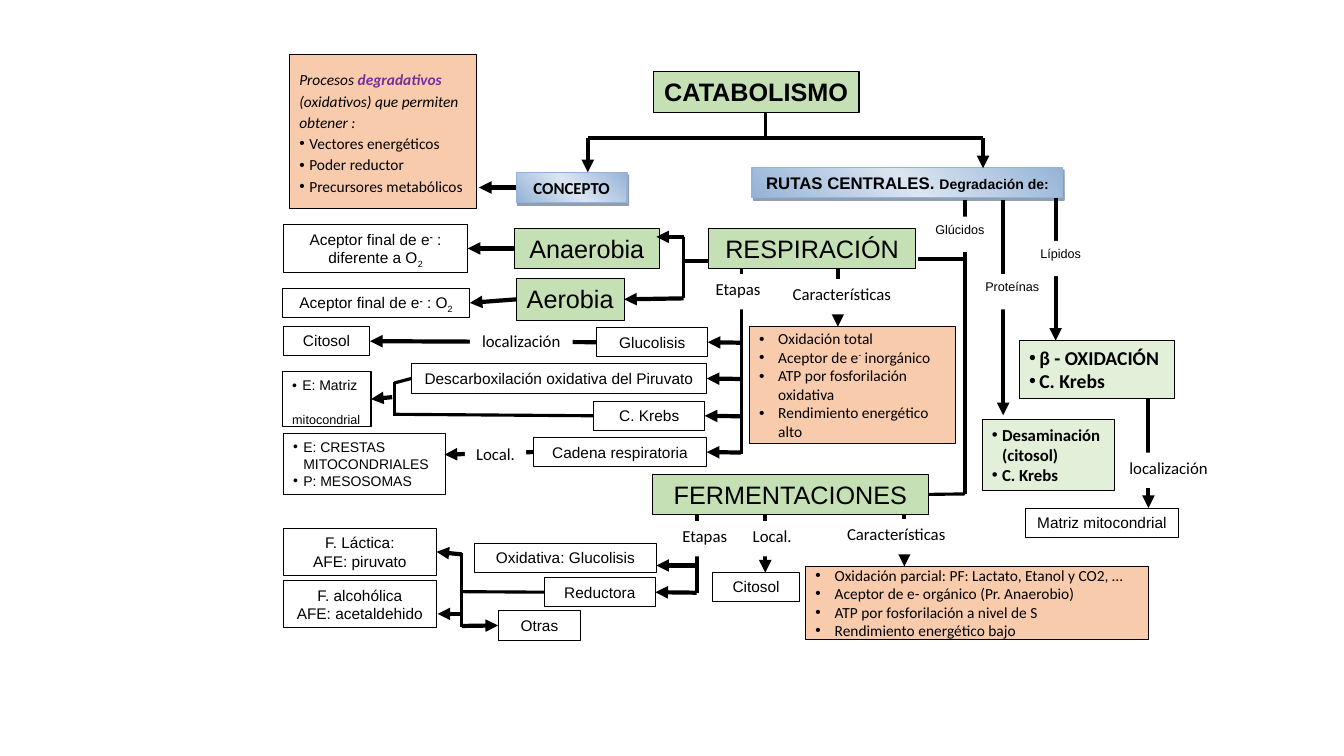
from copy import deepcopy

from lxml import etree
from pptx import Presentation
from pptx.dml.color import RGBColor
from pptx.enum.shapes import MSO_CONNECTOR, MSO_SHAPE
from pptx.enum.text import MSO_ANCHOR, PP_ALIGN
from pptx.oxml.ns import qn
from pptx.util import Inches, Pt

STRAIGHT = MSO_CONNECTOR.STRAIGHT
RECTANGLE = MSO_SHAPE.RECTANGLE
TOP, MIDDLE = MSO_ANCHOR.TOP, MSO_ANCHOR.MIDDLE
LEFT, CENTER = PP_ALIGN.LEFT, PP_ALIGN.CENTER
LEFT_SIDE, RIGHT_SIDE = 1, 3

BLACK = RGBColor(0x00, 0x00, 0x00)
WHITE = RGBColor(0xFF, 0xFF, 0xFF)
GREEN = RGBColor(0xC5, 0xE0, 0xB4)
PALE_GREEN = RGBColor(0xE2, 0xF0, 0xD9)
PEACH = RGBColor(0xF8, 0xCB, 0xAD)
PURPLE = RGBColor(0x70, 0x30, 0xA0)
BLUE = RGBColor(0x95, 0xB3, 0xD7)
PALE_BLUE = RGBColor(0xDB, 0xE5, 0xF1)
NAVY = RGBColor(0x24, 0x3F, 0x60)

THICK, THIN = 3, 2.25
SUPERSCRIPT, SUBSCRIPT = 30000, -25000


def add_run(paragraph, text, baseline=None, **font):
    run = paragraph.add_run()
    run.text = text
    for name, value in font.items():
        setattr(run.font, name, value)
    if baseline:
        run._r.get_or_add_rPr().set("baseline", str(baseline))


def add_bullet(paragraph, indent):
    properties = paragraph._p.get_or_add_pPr()
    properties.set("marL", str(Inches(indent)))
    properties.set("indent", str(-Inches(indent)))
    etree.SubElement(properties, qn("a:buFont")).set("typeface", "Arial")
    etree.SubElement(properties, qn("a:buChar")).set("char", "•")


def write(shape, paragraphs, size=11, font="Arial", bold=False, anchor=TOP, indent=0, plain=()):
    frame = shape.text_frame
    frame.word_wrap = True
    frame.vertical_anchor = anchor
    frame.margin_left = frame.margin_right = Inches(0.1 if indent else 0.05)
    frame.margin_top = frame.margin_bottom = Inches(0.05)
    for index, parts in enumerate(paragraphs):
        paragraph = frame.paragraphs[0] if index == 0 else frame.add_paragraph()
        paragraph.alignment = LEFT if indent else CENTER
        if indent and index not in plain:
            add_bullet(paragraph, indent)
        paragraph.font.size = Pt(size)
        paragraph.font.name = font
        paragraph.font.bold = bold
        paragraph.font.color.rgb = BLACK
        for part in [(parts, {})] if isinstance(parts, str) else parts:
            add_run(paragraph, part[0], **part[1])


def paint(shape, fill, outlined=True):
    shape.shadow.inherit = False
    shape.fill.solid()
    shape.fill.fore_color.rgb = fill
    if outlined:
        shape.line.color.rgb = BLACK
        shape.line.width = Pt(0.75)
    else:
        shape.line.fill.background()


def shade_blue(shape):
    shape.fill.gradient()
    shape.fill.gradient_angle = 45
    stops = shape._element.spPr.find(qn("a:gradFill")).find(qn("a:gsLst"))
    center_stop = deepcopy(stops[0])
    center_stop.set("pos", "50000")
    stops.insert(1, center_stop)
    for stop, color in zip(shape.fill.gradient_stops, (BLUE, PALE_BLUE, BLUE)):
        stop.color.rgb = color
    shape.line.color.rgb = BLUE
    shape.line.width = Pt(1)
    effects = shape._element.spPr.find(qn("a:effectLst"))
    shadow = etree.SubElement(effects, qn("a:outerShdw"), dist=str(Pt(2.2)), dir=str(63 * 60000))
    tint = etree.SubElement(shadow, qn("a:srgbClr"), val=str(NAVY))
    etree.SubElement(tint, qn("a:alpha"), val="50000")


class Region:
    def __init__(self, slide, left, top):
        self.slide, self.left, self.top = slide, left, top

    def point(self, x, y):
        return Inches(self.left + x), Inches(self.top + y)

    def box(self, place, paragraphs, fill=WHITE, outlined=True, **text):
        x, y, width, height = place
        shape = self.slide.shapes.add_shape(RECTANGLE, *self.point(x, y), Inches(width), Inches(height))
        paint(shape, fill, outlined)
        write(shape, paragraphs, **text)
        return shape

    def label(self, x, y, width, text, size=12, font="Calibri"):
        self.box((x, y, width, 0.35), [text], outlined=False, size=size, font=font)

    def link(self, start, end, weight=THICK, arrow=False):
        joined = [not isinstance(stop[0], (int, float)) for stop in (start, end)]
        points = [(0, 0) if glued else self.point(*stop) for stop, glued in zip((start, end), joined)]
        connector = self.slide.shapes.add_connector(STRAIGHT, *points[0], *points[1])
        if joined[0]:
            connector.begin_connect(*start)
        if joined[1]:
            connector.end_connect(*end)
        connector.line.color.rgb = BLACK
        connector.line.width = Pt(weight)
        if arrow:
            etree.SubElement(connector.line._get_or_add_ln(), qn("a:tailEnd"), type="triangle")
        etree.SubElement(connector._element.spPr, qn("a:effectLst"))

    def arrow(self, start, end):
        self.link(start, end, arrow=True)


def add_heading(slide, left, top):
    region = Region(slide, left, top)
    title = slide.shapes.title
    title.left, title.top = region.point(3.68, 0.21)
    title.width, title.height = Inches(2.04), Inches(0.41)
    paint(title, GREEN)
    write(title, ["CATABOLISMO"], size=18, bold=True)
    italic = {"italic": True}
    definition = region.box((0.07, 0.04, 1.86, 1.53), [
        [("Procesos ", italic), ("degradativos", {"italic": True, "bold": True}),
         (" (oxidativos) que permiten obtener :", italic)],
        "Vectores energéticos", "Poder reductor", "Precursores metabólicos",
    ], PEACH, font="Calibri", anchor=MIDDLE, indent=0.1, plain=(0,))
    definition.text_frame.paragraphs[0].runs[1].font.color.rgb = PURPLE
    for paragraph in definition.text_frame.paragraphs:
        paragraph.line_spacing = 1.15
    concept = region.box((2.32, 1.21, 1.1, 0.3), ["CONCEPTO"], size=12, font="Calibri", bold=True)
    routes = region.box((4.66, 1.16, 3.08, 0.3), [
        [("RUTAS CENTRALES. ", {}), ("Degradación de:", {"size": Pt(10)})]], size=12, bold=True)
    for heading in (concept, routes):
        shade_blue(heading)
    region.arrow((concept, LEFT_SIDE), (1.95, 1.36))
    region.link((4.79, 0.62), (4.79, 0.87), THIN)
    region.link((3.03, 0.87), (6.95, 0.87), THIN)
    region.arrow((3.03, 0.87), (3.03, 1.21))
    region.arrow((6.95, 0.87), (6.95, 1.17))


def add_respiration(slide, left, top):
    region = Region(slide, left, top)
    region.box((4.23, 0.07, 2.05, 0.39), ["RESPIRACIÓN"], GREEN, size=18)
    anaerobic = region.box((2.3, 0.07, 1.44, 0.39), ["Anaerobia"], GREEN, size=18)
    aerobic = region.box((2.32, 0.56, 1.07, 0.42), ["Aerobia"], GREEN, size=18)
    electron = [("Aceptor final de e", {}), ("-", {"baseline": SUPERSCRIPT, "bold": True})]
    two = ("2", {"baseline": SUBSCRIPT})
    other_acceptor = region.box((0.01, 0.03, 1.83, 0.47), [electron + [(" : diferente a O", {}), two]])
    oxygen = region.box((0, 0.66, 1.86, 0.29), [electron + [(" : O", {}), two]])
    cytosol = region.box((0.01, 1.04, 0.86, 0.29), ["Citosol"])
    matrix = region.box((0, 1.49, 0.88, 0.54), [
        "E: Matriz", [("mitocondrial", {"size": Pt(9)})]], size=10, indent=0.1, plain=(1,))
    matrix.text_frame.paragraphs[1].space_before = Pt(13)
    region.box((0.01, 2.1, 1.61, 0.61), ["E: CRESTAS MITOCONDRIALES", "P: MESOSOMAS"], size=10, indent=0.1)
    region.box((4.63, 1.04, 2.05, 1.16), [
        "Oxidación total",
        [("Aceptor de e", {}), ("-", {"baseline": SUPERSCRIPT}), (" inorgánico", {})],
        "ATP por fosforilación oxidativa", "Rendimiento energético alto",
    ], PEACH, font="Calibri", anchor=MIDDLE, indent=0.19)

    region.link((4.55, 0.46), (4.55, 2.3), THIN)
    stages = []
    for x, y, width, name in (
        (3.12, 1.05, 1.1, "Glucolisis"),
        (1.28, 1.41, 2.93, "Descarboxilación oxidativa del Piruvato"),
        (3.09, 1.78, 1.1, "C. Krebs"),
        (2.49, 2.14, 1.72, "Cadena respiratoria"),
    ):
        stage = region.box((x, y, width, 0.29), [name], anchor=MIDDLE)
        region.arrow((4.55, y + 0.15), (stage, RIGHT_SIDE))
        stages.append(stage)
    glycolysis, decarboxylation, krebs, chain = stages

    region.link((3.98, 0.15), (3.98, 0.76), THIN)
    region.link((3.98, 0.39), (4.23, 0.39), THIN)
    region.arrow((3.98, 0.15), (3.71, 0.15))
    region.arrow((3.98, 0.76), (aerobic, RIGHT_SIDE))
    for source, target in ((anaerobic, other_acceptor), (aerobic, oxygen), (glycolysis, cytosol)):
        region.arrow((source, LEFT_SIDE), (target, RIGHT_SIDE))
    region.link((1.11, 1.59), (1.11, 1.91), THIN)
    region.link((decarboxylation, LEFT_SIDE), (1.11, 1.6), THIN)
    region.link((krebs, LEFT_SIDE), (1.1, 1.91), THIN)
    region.arrow((1.09, 1.74), (matrix, RIGHT_SIDE))
    region.arrow((chain, LEFT_SIDE), (1.61, 2.31))
    region.arrow((5.51, 0.46), (5.51, 1.04))
    region.label(4.17, 0.52, 0.7, "Etapas")
    region.label(4.82, 0.57, 1.46, "Características")
    region.label(1.86, 1.03, 1.02, "localización")
    region.label(1.81, 2.15, 0.61, "Local.")


def add_fermentation(slide, left, top):
    region = Region(slide, left, top)
    fermentation = region.box((3.67, 0.01, 2.74, 0.39), ["FERMENTACIONES"], GREEN, size=18)
    region.box((1.91, 0.69, 1.8, 0.29), ["Oxidativa: Glucolisis"])
    reductive = region.box((2.6, 1.03, 1.1, 0.29), ["Reductora"], anchor=MIDDLE)
    region.box((4.27, 0.98, 0.86, 0.29), ["Citosol"])
    lactic = region.box((0.01, 0.54, 1.52, 0.47), ["F. Láctica:", "AFE: piruvato"], anchor=MIDDLE)
    region.box((0.01, 1.06, 1.52, 0.47), ["F. alcohólica", "AFE: acetaldehido"], anchor=MIDDLE)
    others = region.box((2.14, 1.36, 0.82, 0.29), ["Otras"], anchor=MIDDLE)
    region.box((5.19, 0.92, 3.4, 0.72), [
        "Oxidación parcial: PF: Lactato, Etanol y CO2, …", "Aceptor de e- orgánico (Pr. Anaerobio)",
        "ATP por fosforilación a nivel de S", "Rendimiento energético bajo",
    ], PEACH, font="Calibri", anchor=MIDDLE, indent=0.19)
    region.link((4.11, 0.4), (4.11, 1.18))
    region.arrow((4.11, 0.91), (3.71, 0.91))
    region.arrow((4.11, 1.18), (reductive, RIGHT_SIDE))
    region.arrow((4.79, 0.4), (4.79, 0.98))
    region.arrow((6.17, 0.4), (6.17, 0.92))
    region.link((1.78, 0.79), (1.78, 1.52), THIN)
    region.link((reductive, LEFT_SIDE), (1.78, 1.17), THIN)
    region.arrow((1.78, 0.8), (lactic, RIGHT_SIDE))
    region.arrow((1.78, 1.39), (1.54, 1.39))
    region.arrow((1.78, 1.51), (others, LEFT_SIDE))
    region.label(3.84, 0.47, 0.7, "Etapas")
    region.label(4.51, 0.47, 0.7, "Local.")
    region.label(5.36, 0.45, 1.46, "Características")
    return fermentation


def add_routes(slide, left, top, fermentation):
    region = Region(slide, left, top)
    krebs = "C. Krebs"
    region.box((1.01, 1.48, 1.54, 0.57), ["β - OXIDACIÓN", krebs], PALE_GREEN,
               size=14, font="Calibri", bold=True, indent=0.1)
    region.box((0.64, 2.26, 1.31, 0.71), ["Desaminación (citosol)", krebs], PALE_GREEN,
               size=12, font="Calibri", bold=True, indent=0.1)
    region.box((1.07, 3.14, 1.52, 0.29), ["Matriz mitocondrial"])
    region.link((0.47, 0.08), (0.47, 3))
    region.link((0, 0.67), (0.47, 0.67), THIN)
    region.link((fermentation, RIGHT_SIDE), (0.47, 3), THIN)
    region.arrow((0.85, 0.08), (0.85, 2.22))
    region.arrow((1.37, 0.06), (1.37, 1.48))
    region.arrow((2.29, 2.05), (2.29, 3.14))
    for x, y, width, nutrient in ((0.07, 0.25, 0.7, "Glúcidos"), (1.07, 0.49, 0.7, "Lípidos"),
                                  (0.55, 0.82, 0.78, "Proteínas")):
        region.label(x, y, width, nutrient, size=9, font="Arial")
    region.label(1.98, 2.59, 1.02, "localización")


def main():
    deck = Presentation()
    deck.slide_width, deck.slide_height = Inches(13.33), Inches(7.5)
    slide = deck.slides.add_slide(deck.slide_layouts[5])
    add_heading(slide, 2.8, 0.5)
    add_respiration(slide, 2.8, 2.2)
    fermentation = add_fermentation(slide, 2.8, 4.7)
    add_routes(slide, 9.1, 1.9, fermentation)
    deck.save("out.pptx")


if __name__ == "__main__":
    main()
